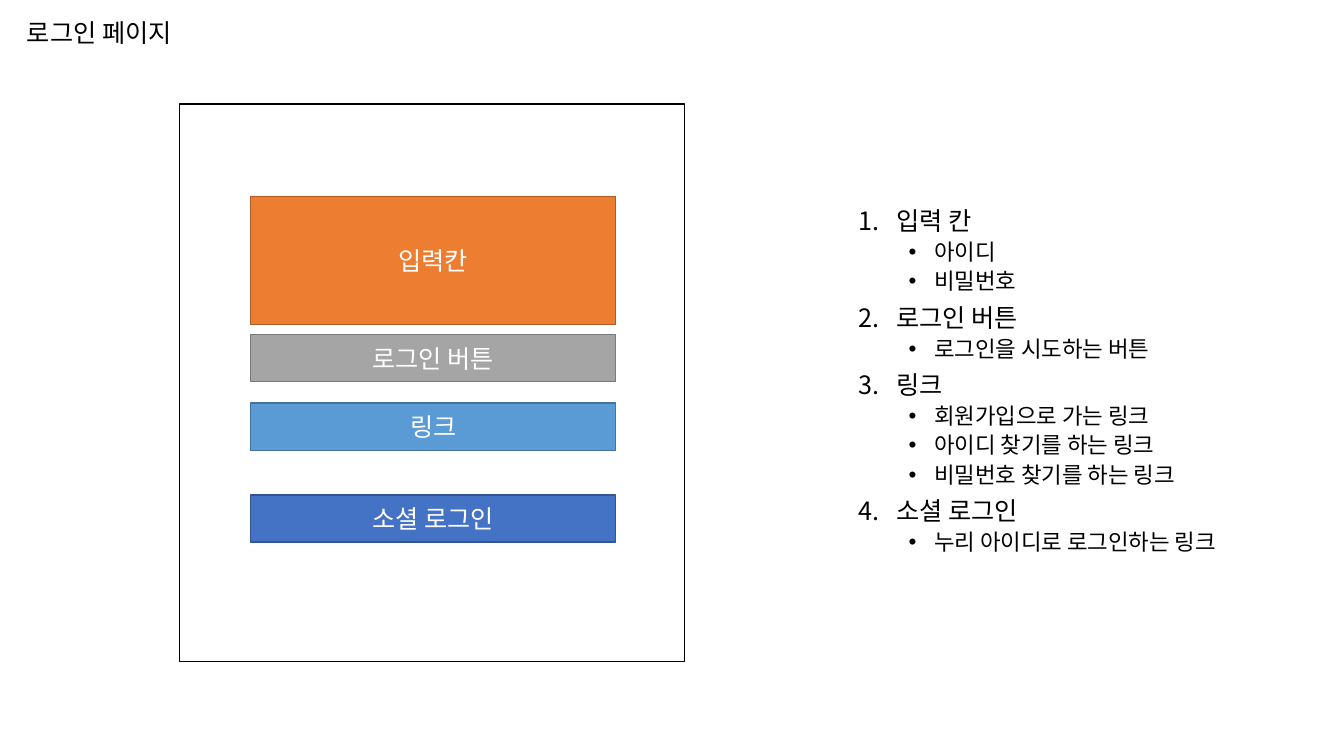
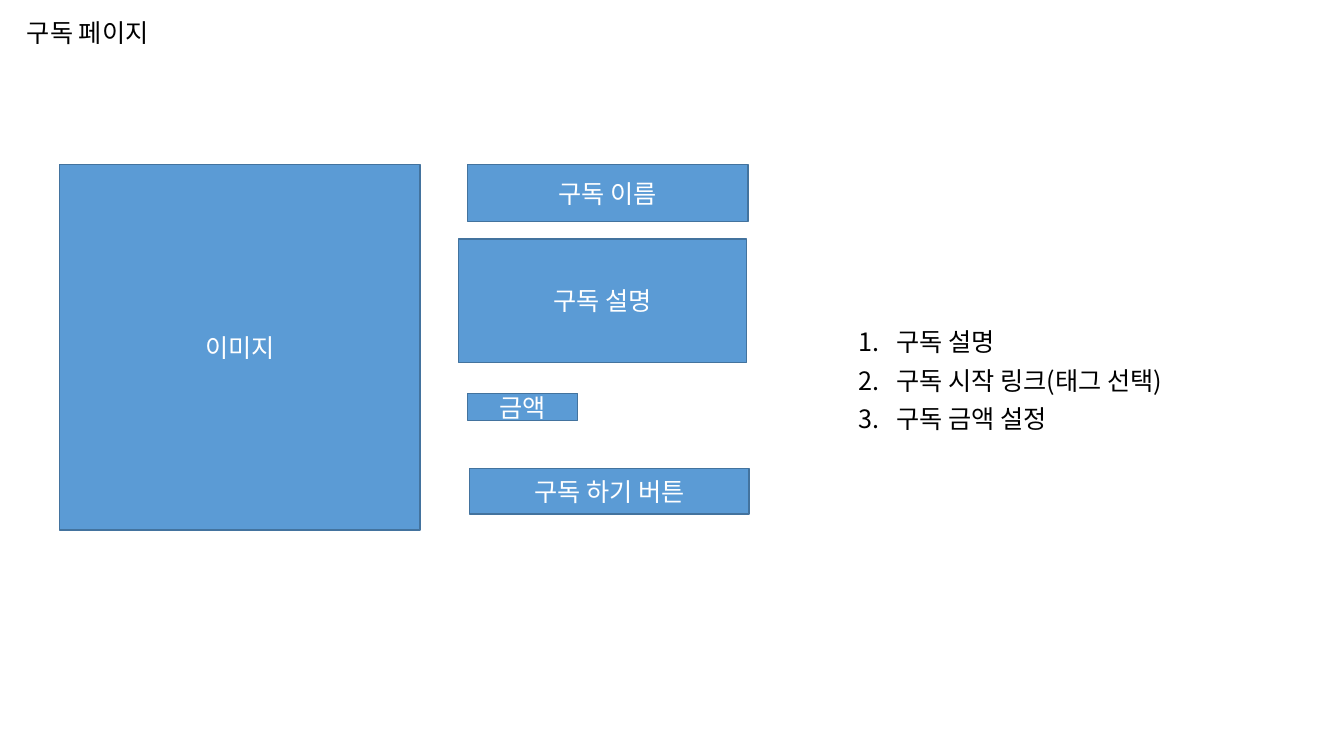
"""Build the wireframe slides for the login and subscription pages."""
import lxml.etree
import pptx
import pptx.enum.shapes
import pptx.enum.text
import pptx.oxml.ns
import pptx.util

Cm, Pt = pptx.util.Cm, pptx.util.Pt
ALIGN = pptx.enum.text.PP_ALIGN
FONT = "Noto Sans CJK KR"
BLACK, WHITE = "000000", "FFFFFF"
ORANGE, GRAY = ("ED7D31", "AF5C24"), ("A5A5A5", "7A7A7A")
SKY, BLUE = ("5B9BD5", "43739E"), ("4472C4", "325491")
PAPER = (WHITE, BLACK)

TITLE_BOX = (0.43, 0.25, 11.35, 1.22)
NOTES_BOX = (21.39, 1.3, 11.1, 16.66)
BAR_LEFT, BAR_WIDTH, BAR_HEIGHT = 6.32, 9.2, 1.19

LEVELS = [
    dict(size=18, before=8, margin=0.95, hang=0.95, font="+mj-lt",
         bullet=("a:buAutoNum", {"type": "arabicPeriod"})),
    dict(size=16, before=3.6, margin=1.9, hang=0.64, font="Arial",
         bullet=("a:buChar", {"char": "•"})),
]

PAGES = [
    dict(
        title="로그인 페이지",
        blocks=[
            ("", PAPER, (4.52, 2.62, 12.73, 14.05)),
            ("입력칸", ORANGE, (BAR_LEFT, 4.95, BAR_WIDTH, 3.23)),
            ("로그인 버튼", GRAY, (BAR_LEFT, 8.43, BAR_WIDTH, BAR_HEIGHT)),
            ("링크", SKY, (BAR_LEFT, 10.16, BAR_WIDTH, BAR_HEIGHT)),
            ("소셜 로그인", BLUE, (BAR_LEFT, 12.47, BAR_WIDTH, BAR_HEIGHT)),
        ],
        notes=[
            ("입력 칸", ["아이디", "비밀번호"]),
            ("로그인 버튼", ["로그인을 시도하는 버튼"]),
            ("링크", ["회원가입으로 가는 링크", "아이디 찾기를 하는 링크",
                    "비밀번호 찾기를 하는 링크"]),
            ("소셜 로그인", ["누리 아이디로 로그인하는 링크"]),
        ],
    ),
    dict(
        title="구독 페이지",
        blocks=[
            ("이미지", SKY, (1.5, 4.14, 9.09, 9.22)),
            ("구독 이름", SKY, (11.79, 4.14, 7.06, 1.45)),
            ("구독 설명", SKY, (11.56, 6.02, 7.26, 3.12)),
            ("금액", SKY, (11.79, 9.91, 2.77, 0.69)),
            ("구독 하기 버튼", SKY, (11.84, 11.81, 7.04, 1.14)),
        ],
        notes=[("구독 설명", []), ("구독 시작 링크(태그 선택)", []), ("구독 금액 설정", [])],
    ),
]


def rgb(color):
    """Turn a hex string into a colour."""
    return pptx.dml.color.RGBColor.from_string(color)


def add_element(parent, tag, **values):
    """Append a drawing element with its attributes."""
    lxml.etree.SubElement(parent, pptx.oxml.ns.qn(tag), **values)


def write(paragraph, text, color=BLACK, size=18, **layout):
    """Write one styled run and format its paragraph."""
    for attribute, value in layout.items():
        setattr(paragraph, attribute, value)
    run = paragraph.add_run()
    run.text = text
    run.font.color.rgb = rgb(color)
    for attribute, value in dict(size=Pt(size), name=FONT).items():
        setattr(run.font, attribute, value)
    add_element(run.font._element, "a:ea", typeface=FONT)


def middle_frame(shape):
    """Return the shape's text frame, wrapped and centred vertically."""
    frame = shape.text_frame
    frame.word_wrap = True
    frame.vertical_anchor = pptx.enum.text.MSO_ANCHOR.MIDDLE
    return frame


def add_title(slide, title):
    """Add the page title."""
    frame = middle_frame(slide.shapes.add_textbox(*map(Cm, TITLE_BOX)))
    write(frame.paragraphs[0], title, line_spacing=0.9)


def add_block(slide, label, colors, box):
    """Add one labelled block of the wireframe."""
    block = slide.shapes.add_shape(
        pptx.enum.shapes.MSO_SHAPE.RECTANGLE, *map(Cm, box))
    block.shadow.inherit = False
    block.fill.solid()
    block.fill.fore_color.rgb, block.line.color.rgb = map(rgb, colors)
    block.line.width = Pt(1)
    if label:
        write(middle_frame(block).paragraphs[0], label, WHITE, alignment=ALIGN.CENTER)


def add_notes(slide, notes):
    """Add the numbered description with its bulleted details."""
    frame = middle_frame(slide.shapes.add_textbox(*map(Cm, NOTES_BOX)))
    lines = [line for heading, details in notes
             for line in [(heading, 0)] + [(detail, 1) for detail in details]]
    for index, (text, level) in enumerate(lines):
        paragraph = frame.add_paragraph() if index else frame.paragraphs[0]
        style = LEVELS[level]
        write(paragraph, text, size=style["size"], level=level,
              line_spacing=0.9, space_before=Pt(style["before"]))
        properties = paragraph._p.get_or_add_pPr()
        properties.set("marL", str(Cm(style["margin"])))
        properties.set("indent", str(-Cm(style["hang"])))
        add_element(properties, "a:buFont", typeface=style["font"])
        tag, values = style["bullet"]
        add_element(properties, tag, **values)


def main():
    """Build and save the presentation."""
    deck = pptx.Presentation()
    deck.slide_width, deck.slide_height = Cm(33.87), Cm(19.05)
    for page in PAGES:
        slide = deck.slides.add_slide(deck.slide_layouts[6])
        add_title(slide, page["title"])
        add_notes(slide, page["notes"])
        for block in page["blocks"]:
            add_block(slide, *block)
    deck.save("out.pptx")


if __name__ == "__main__":
    main()
